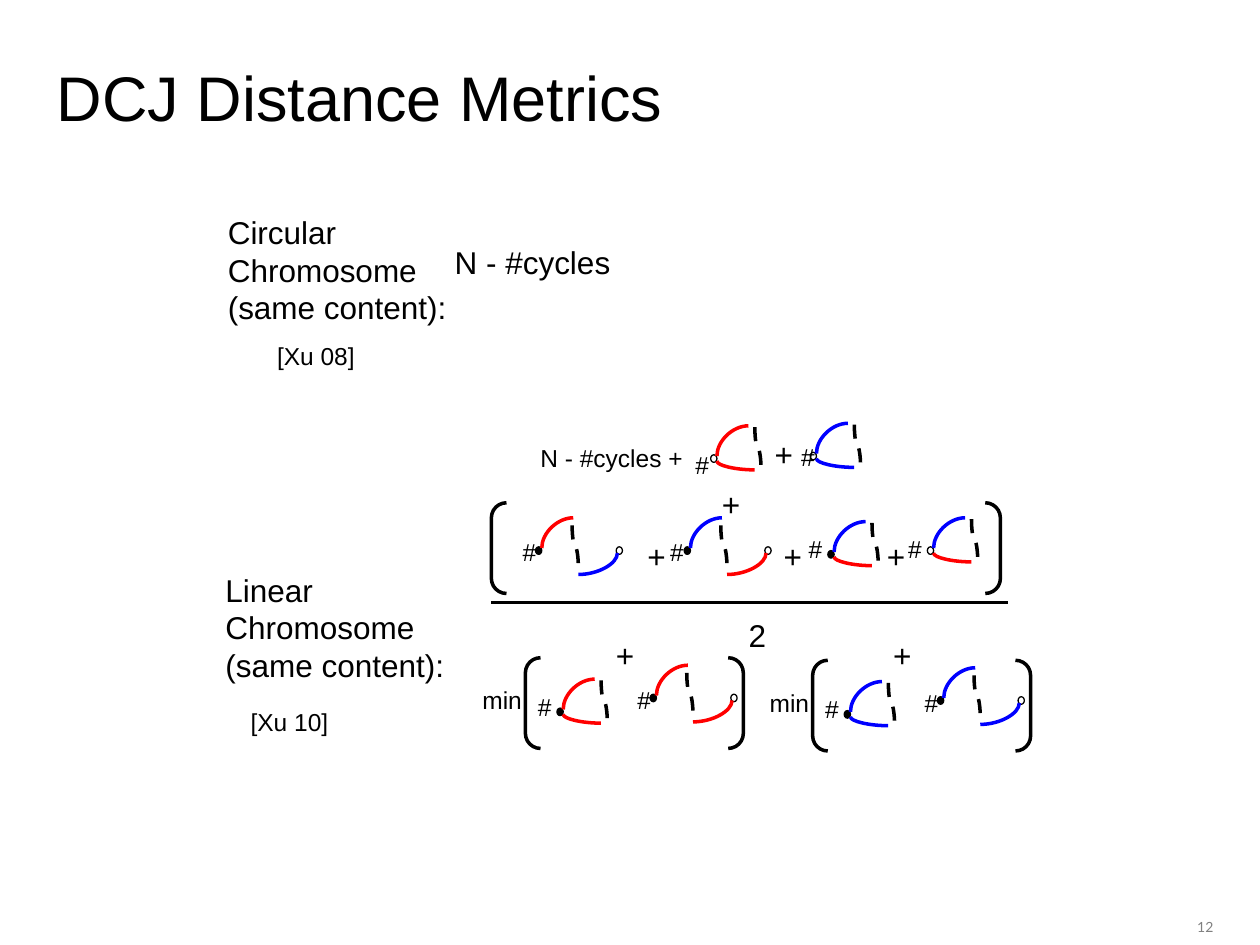
from pptx import Presentation
from pptx.dml.color import RGBColor
from pptx.enum.dml import MSO_LINE
from pptx.enum.shapes import MSO_CONNECTOR, MSO_SHAPE
from pptx.enum.text import MSO_ANCHOR, MSO_AUTO_SIZE, PP_ALIGN
from pptx.oxml.ns import qn
from pptx.util import Inches, Pt
from lxml.etree import SubElement

COLORS = {"black": "000000", "red": "FF0000", "blue": "0000FF", "gray": "808080"}
DOT = 0.05

# Closed motifs: left, top, upper colour, lower colour, filled dot
CLOSED_PATHS = [
    (5.64, 3.61, "red", "red", False),
    (6.43, 3.59, "blue", "blue", False),
    (6.57, 4.37, "blue", "red", True),
    (7.36, 4.34, "blue", "red", False),
    (4.42, 5.62, "red", "red", True),
    (6.70, 5.64, "blue", "blue", True),
]
# Open motifs: left, top, upper colour, lower colour
OPEN_PATHS = [
    (4.25, 4.34, "red", "blue"),
    (5.43, 4.34, "blue", "red"),
    (5.16, 5.51, "red", "red"),
    (7.44, 5.53, "blue", "blue"),
]
BRACKETS = [(3.9, 3.99, 4.04), (4.17, 5.22, 1.73), (6.45, 5.24, 1.73)]
HASHES = [(5.42, 3.52), (6.26, 3.46), (4.05, 4.21), (5.22, 4.21), (6.32, 4.19),
          (7.11, 4.19), (4.17, 5.44), (4.96, 5.39), (6.45, 5.46), (7.24, 5.41)]
PLUSES = [(6.05, 3.4), (5.63, 3.8), (5.04, 4.21), (6.12, 4.21), (6.94, 4.21),
          (4.79, 5), (6.99, 5)]
# Other labels: lines, left, top, width, height, size
LABELS = [
    (["N - #cycles "], 3.51, 1.88, 1.52, 0.4, 18),
    (["Circular ", "Chromosome", "(same content):"], 1.71, 1.64, 1.96, 1.01, 18),
    (["Linear", "Chromosome", "(same content):"], 1.69, 4.48, 1.95, 1.01, 18),
    (["[Xu 08]"], 2.1, 2.66, 0.82, 0.34, 14),
    (["[Xu 10]"], 1.89, 5.56, 0.82, 0.34, 14),
    (["N - #cycles +"], 4.19, 3.47, 1.34, 0.34, 14),
    (["min"], 3.73, 5.39, 0.52, 0.34, 14),
    (["min"], 6.01, 5.41, 0.52, 0.34, 14),
]


def rgb(name):
    return RGBColor.from_string(COLORS[name])


def format_paragraph(paragraph, size, font="Arial", color="black", align=PP_ALIGN.LEFT):
    paragraph.alignment = align
    values = {"size": Pt(size), "name": font, "bold": False}
    for run in paragraph.runs:
        for key, value in values.items():
            setattr(run.font, key, value)
        run.font.color.rgb = rgb(color)


def add_text(slide, lines, left, top, width, height, size, wrap=False,
             grow=True, **style):
    box = slide.shapes.add_textbox(Inches(left), Inches(top), Inches(width), Inches(height))
    frame = box.text_frame
    frame.text = "\n".join(lines)
    frame.word_wrap = wrap
    frame.auto_size = MSO_AUTO_SIZE.SHAPE_TO_FIT_TEXT if grow else MSO_AUTO_SIZE.NONE
    for paragraph in frame.paragraphs:
        format_paragraph(paragraph, size, **style)


def add_outline(slide, kind, left, top, width, height, line_width, filled=False):
    shape = slide.shapes.add_shape(
        kind, Inches(left), Inches(top), Inches(width), Inches(height))
    shape.shadow.inherit = False
    shape.line.color.rgb = rgb("black")
    shape.line.width = Pt(line_width)
    if filled:
        shape.fill.solid()
        shape.fill.fore_color.rgb = rgb("black")
    else:
        shape.fill.background()
    return shape


def add_dot(slide, left, top, filled):
    add_outline(slide, MSO_SHAPE.OVAL, left, top, DOT, DOT + 0.01, 0.75, filled)


def add_line(slide, start, end, color="black", kind=MSO_CONNECTOR.STRAIGHT):
    line = slide.shapes.add_connector(kind, *(Inches(value) for value in (*start, *end)))
    line.line.color.rgb = rgb(color)
    line.line.width = Pt(2)
    SubElement(line._element.spPr, qn("a:effectLst"))
    return line


def add_arc(slide, start, end, color):
    """Quarter curve that leaves start horizontally and reaches end vertically."""
    arc = add_line(slide, start, end, color, MSO_CONNECTOR.CURVE)
    arc._element.spPr.find(qn("a:prstGeom")).set("prst", "curvedConnector2")


def add_dashed_curve(slide, left, top):
    """Steep S-curve: a flat one turned by 270 degrees about its centre."""
    width, height = 0.05, 0.34
    middle_x, middle_y = left + width / 2, top + height / 2
    curve = add_line(slide, (middle_x + height / 2, middle_y - width / 2),
                     (middle_x - height / 2, middle_y + width / 2),
                     kind=MSO_CONNECTOR.CURVE)
    curve.line.dash_style = MSO_LINE.DASH
    curve._element.spPr.find(qn("a:xfrm")).set("rot", str(270 * 60000))


def add_upper_arc(slide, left, top, color):
    add_arc(slide, (left + 0.3, top - 0.23), (left + DOT, top + 0.01), color)


def add_closed_path(slide, left, top, upper, lower, filled):
    add_dot(slide, left, top, filled)
    add_upper_arc(slide, left, top, upper)
    add_arc(slide, (left + 0.35, top + 0.12), (left + DOT, top + 0.05), lower)
    add_dashed_curve(slide, left + 0.35, top - 0.22)


def add_open_path(slide, left, top, upper, lower):
    add_dot(slide, left, top, True)
    add_dot(slide, left + 0.64, top, False)
    add_upper_arc(slide, left, top, upper)
    add_arc(slide, (left + 0.34, top + 0.22), (left + 0.65, top + 0.05), lower)
    add_dashed_curve(slide, left + 0.29, top - 0.17)


def add_title(slide, text):
    title = slide.shapes.title
    place = {"left": 0.35, "top": 0.35, "width": 9, "height": 0.83}
    for key, value in place.items():
        setattr(title, key, Inches(value))
    title.text_frame.text = text
    title.text_frame.vertical_anchor = MSO_ANCHOR.MIDDLE
    format_paragraph(title.text_frame.paragraphs[0], 36)


def main():
    presentation = Presentation()
    presentation.slide_width, presentation.slide_height = Inches(10), Inches(7.5)
    slide = presentation.slides.add_slide(presentation.slide_layouts[5])
    add_title(slide, "DCJ Distance Metrics")

    # Path motifs
    for path in CLOSED_PATHS:
        add_closed_path(slide, *path)
    for path in OPEN_PATHS:
        add_open_path(slide, *path)

    # Brackets and fraction bar
    for left, top, width in BRACKETS:
        bracket = add_outline(slide, MSO_SHAPE.DOUBLE_BRACKET, left, top, width, 0.72, 2)
        bracket.adjustments[0] = 0.167
    add_line(slide, (3.9, 4.78), (8, 4.78))

    # Formula symbols and labels
    for left, top in HASHES:
        add_text(slide, ["#"], left, top, 0.31, 0.34, 14)
    for left, top in PLUSES:
        add_text(slide, ["+"], left, top, 0.22, 0.29, 18)
    add_text(slide, ["2"], 5.93, 4.84, 0.11, 0.29, 18, wrap=True)
    for label in LABELS:
        add_text(slide, *label)

    # Slide number
    add_text(slide, ["12"], 9.07, 7.24, 0.66, 0.17, 8, wrap=True, grow=False,
             font="Lato", color="gray", align=PP_ALIGN.RIGHT)
    presentation.save("out.pptx")


if __name__ == "__main__":
    main()
